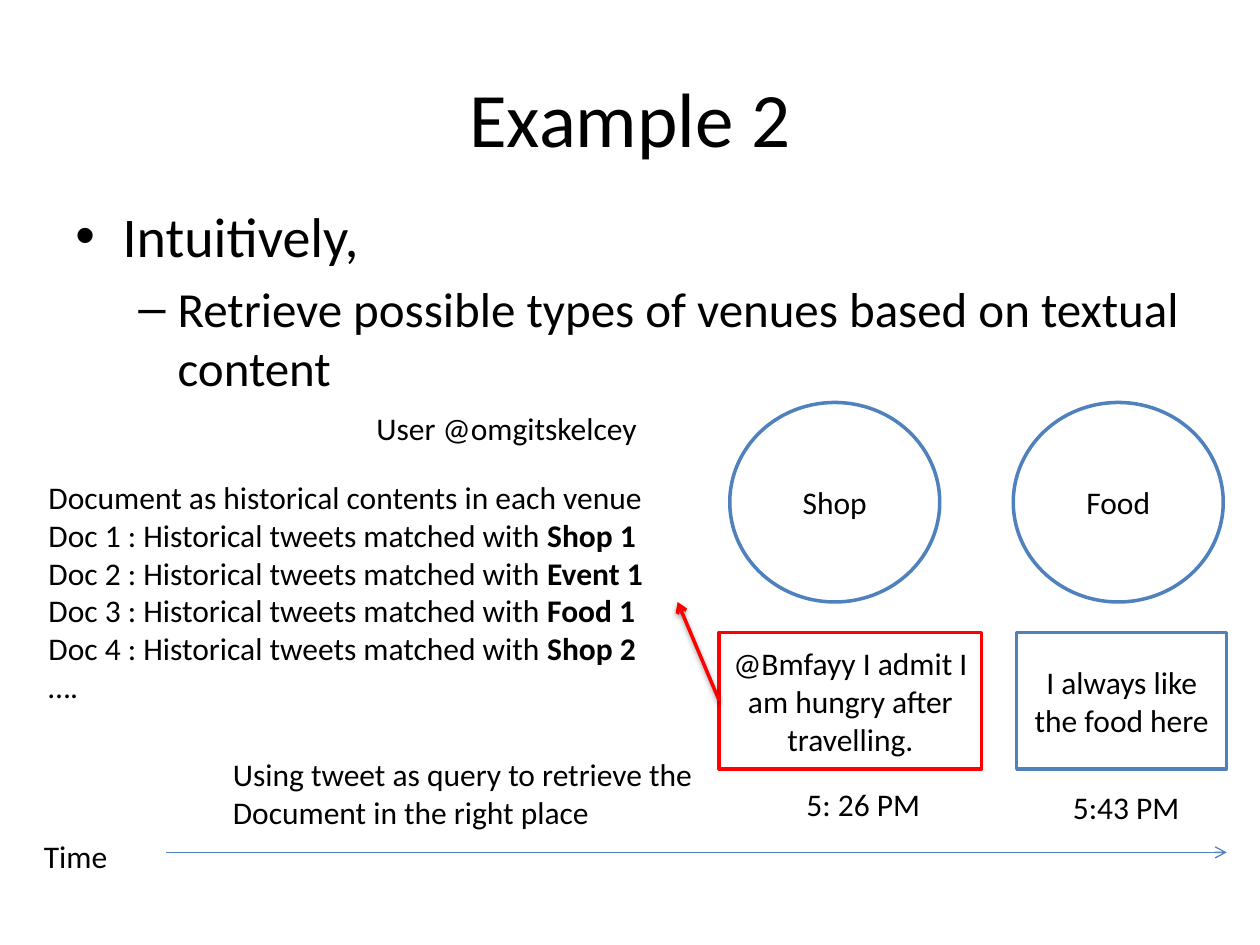
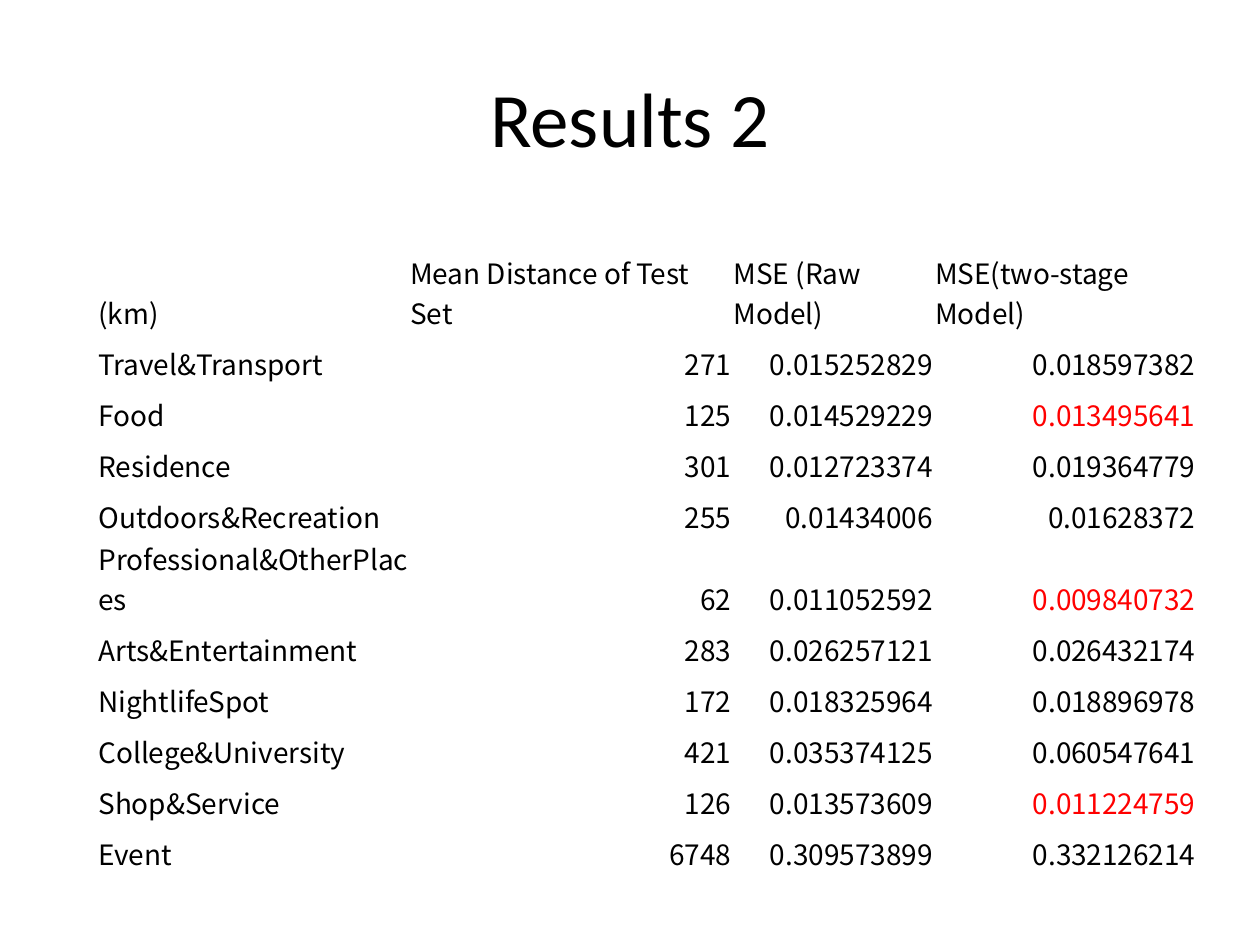
from dataclasses import dataclass

from lxml import etree
from pptx import Presentation
from pptx.dml.color import RGBColor
from pptx.enum.shapes import MSO_CONNECTOR, MSO_SHAPE
from pptx.enum.text import MSO_ANCHOR, PP_ALIGN
from pptx.oxml.ns import qn
from pptx.util import Pt

LEFT, CENTER, RIGHT = PP_ALIGN.LEFT, PP_ALIGN.CENTER, PP_ALIGN.RIGHT
TOP, MIDDLE, BOTTOM = MSO_ANCHOR.TOP, MSO_ANCHOR.MIDDLE, MSO_ANCHOR.BOTTOM
OVAL, RECTANGLE = MSO_SHAPE.OVAL, MSO_SHAPE.RECTANGLE
STRAIGHT = MSO_CONNECTOR.STRAIGHT


@dataclass(frozen=True)
class Theme:
    """Colours, fonts and type sizes of the deck."""

    text: RGBColor = RGBColor(0, 0, 0)
    outline: RGBColor = RGBColor(0x4F, 0x81, 0xBD)
    highlight: RGBColor = RGBColor(0xFF, 0, 0)
    font: str = "Calibri"
    table_font: str = "Noto Sans CJK SC"
    title_size: int = 44
    bullet_sizes: tuple = (32, 28)
    label_size: int = 18
    table_size: int = 16


THEME = Theme()

BULLETS = [
    (0, "Intuitively,"),
    (1, "Retrieve possible types of venues based on textual content"),
]
BULLET_STYLES = [("•", 27, 27, 0), ("–", 58.5, 22.5, 5.6)]

DOCUMENT_VENUES = ["Shop 1", "Event 1", "Food 1", "Shop 2"]

COLUMN_WIDTHS = [178.2, 184.8, 115.2, 150.2]
ROW_HEIGHT = 29.15
TWO_LINE_HEIGHT = 46.8
TWO_LINE_ROWS = ("(km)", "Professional&OtherPlaces")
RESULTS = [
    ("(km)", "Mean Distance of Test Set", "MSE (Raw Model)", "MSE(two-stage Model)"),
    ("Travel&Transport", "271", "0.015252829", "0.018597382"),
    ("Food", "125", "0.014529229", "0.013495641"),
    ("Residence", "301", "0.012723374", "0.019364779"),
    ("Outdoors&Recreation", "255", "0.01434006", "0.01628372"),
    ("Professional&OtherPlaces", "62", "0.011052592", "0.009840732"),
    ("Arts&Entertainment", "283", "0.026257121", "0.026432174"),
    ("NightlifeSpot", "172", "0.018325964", "0.018896978"),
    ("College&University", "421", "0.035374125", "0.060547641"),
    ("Shop&Service", "126", "0.013573609", "0.011224759"),
    ("Event", "6748", "0.309573899", "0.332126214"),
]


def style_para(para, size, align=LEFT, color=THEME.text, font=THEME.font):
    """Align a paragraph and format all of its runs."""
    para.alignment = align
    for span in para.runs:
        span.font.name = font
        span.font.size = Pt(size)
        span.font.color.rgb = color


def add_text(page, frame, text, size=THEME.label_size, align=LEFT, anchor=TOP, wrap=True):
    """Add a text box with one paragraph per line of text."""
    box = page.shapes.add_textbox(*map(Pt, frame))
    box.text_frame.text = text
    box.text_frame.word_wrap = wrap
    box.text_frame.vertical_anchor = anchor
    for para in box.text_frame.paragraphs:
        style_para(para, size, align)
    return box


def add_page(deck, title):
    """Add a blank slide with the shared title."""
    page = deck.slides.add_slide(deck.slide_layouts[6])
    add_text(page, (36, 21.6, 648, 90), title, THEME.title_size, CENTER, MIDDLE)
    return page


def add_bullets(page, frame, items):
    """Add a bulleted list of (level, text) items."""
    box = add_text(page, frame, "\n".join(text for _, text in items))
    for para, (level, _) in zip(box.text_frame.paragraphs, items):
        mark, margin, hang, space = BULLET_STYLES[level]
        para.level = level
        para.space_before = Pt(space)
        props = para._p.get_or_add_pPr()
        props.set("marL", str(Pt(margin)))
        props.set("indent", str(-Pt(hang)))
        etree.SubElement(props, qn("a:buFont"), typeface="Arial")
        etree.SubElement(props, qn("a:buChar"), char=mark)
        style_para(para, THEME.bullet_sizes[level])


def add_outlined(page, kind, frame, text, color=THEME.outline):
    """Add an unfilled shape with centred text."""
    shape = page.shapes.add_shape(kind, *map(Pt, frame))
    shape.shadow.inherit = False
    shape.fill.background()
    shape.line.color.rgb = color
    shape.line.width = Pt(2)
    shape.text_frame.text = text
    shape.text_frame.vertical_anchor = MIDDLE
    style_para(shape.text_frame.paragraphs[0], THEME.label_size, CENTER)


def add_arrow(page, start, end, color, width, shadow=False):
    """Add an arrow, with a soft shadow on request."""
    arrow = page.shapes.add_connector(STRAIGHT, *map(Pt, start + end))
    arrow.line.color.rgb = color
    arrow.line.width = Pt(width)
    etree.SubElement(arrow.line._get_or_add_ln(), qn("a:tailEnd"), type="arrow")
    effects = etree.SubElement(arrow._element.spPr, qn("a:effectLst"))
    if shadow:
        outer = etree.SubElement(
            effects, qn("a:outerShdw"), blurRad=str(Pt(3.1)), dist=str(Pt(1.6)),
            dir="5400000", rotWithShape="0")
        black = etree.SubElement(outer, qn("a:srgbClr"), val=str(THEME.text))
        etree.SubElement(black, qn("a:alpha"), val="38000")


def add_documents(page, frame):
    """List the venue documents with each venue in bold."""
    lines = ["Document as historical contents in each venue"]
    lines += [f"Doc {number} : Historical tweets matched with "
              for number in range(1, len(DOCUMENT_VENUES) + 1)]
    box = add_text(page, frame, "\n".join(lines + ["…."]))
    for para, venue in zip(box.text_frame.paragraphs[1:], DOCUMENT_VENUES):
        span = para.add_run()
        span.text = venue
        style_para(para, THEME.label_size)
        span.font.bold = True


def add_results(page, left, top):
    """Add the table, marking errors that the two-stage model lowers."""
    heights = [TWO_LINE_HEIGHT if values[0] in TWO_LINE_ROWS else ROW_HEIGHT
               for values in RESULTS]
    table = page.shapes.add_table(
        len(RESULTS), len(COLUMN_WIDTHS), Pt(left), Pt(top),
        Pt(sum(COLUMN_WIDTHS)), Pt(sum(heights))).table
    table.first_row = table.horz_banding = False
    for column, width in zip(table.columns, COLUMN_WIDTHS):
        column.width = Pt(width)
    for row_index, values in enumerate(RESULTS):
        table.rows[row_index].height = Pt(heights[row_index])
        improved = row_index > 0 and float(values[3]) < float(values[2])
        for column_index, value in enumerate(values):
            cell = table.cell(row_index, column_index)
            cell.fill.background()
            cell.text_frame.text = value
            cell.vertical_anchor = BOTTOM
            cell.margin_left = cell.margin_right = cell.margin_top = Pt(0.75)
            cell.margin_bottom = Pt(0)
            align = RIGHT if row_index and column_index else LEFT
            color = THEME.highlight if improved and column_index == 3 else THEME.text
            style_para(cell.text_frame.paragraphs[0], THEME.table_size, align,
                       color, THEME.table_font)


def build_example(deck):
    """Build the slide on retrieving venue types."""
    page = add_page(deck, "Example 2")
    add_bullets(page, (36, 111.6, 648, 356.4), BULLETS)
    for left, venue in ((417, "Shop"), (579, "Food")):
        add_outlined(page, OVAL, (left, 230, 120, 114), venue)
    add_outlined(page, RECTANGLE, (411, 361.4, 150, 78),
                 "@Bmfayy I admit I am hungry after travelling.", THEME.highlight)
    add_outlined(page, RECTANGLE, (581, 361.4, 120, 78), "I always like the food here")
    add_text(page, (18, 474.9, 108, 29), "Time")
    add_text(page, (453.7, 445, 80.6, 29), "5: 26 PM", wrap=False)
    add_text(page, (606, 447, 76.3, 29), "5:43 PM", wrap=False)
    add_arrow(page, (95, 487.1), (701, 487.1), THEME.outline, 0.75)
    add_text(page, (208, 230, 209, 29), "User @omgitskelcey")
    add_documents(page, (20.6, 269.6, 366.5, 160))
    add_arrow(page, (411, 400.4), (387.2, 344), THEME.highlight, 2, shadow=True)
    add_text(page, (126, 428.1, 311.8, 51),
             "Using tweet as query to retrieve the Document in the right place")


def build_results(deck):
    """Build the slide comparing the two models."""
    page = add_page(deck, "Results 2")
    add_results(page, 55.5, 143.4)


def main():
    """Build and save the deck."""
    deck = Presentation()
    deck.slide_width, deck.slide_height = Pt(720), Pt(540)
    build_example(deck)
    build_results(deck)
    deck.save("out.pptx")


if __name__ == "__main__":
    main()
